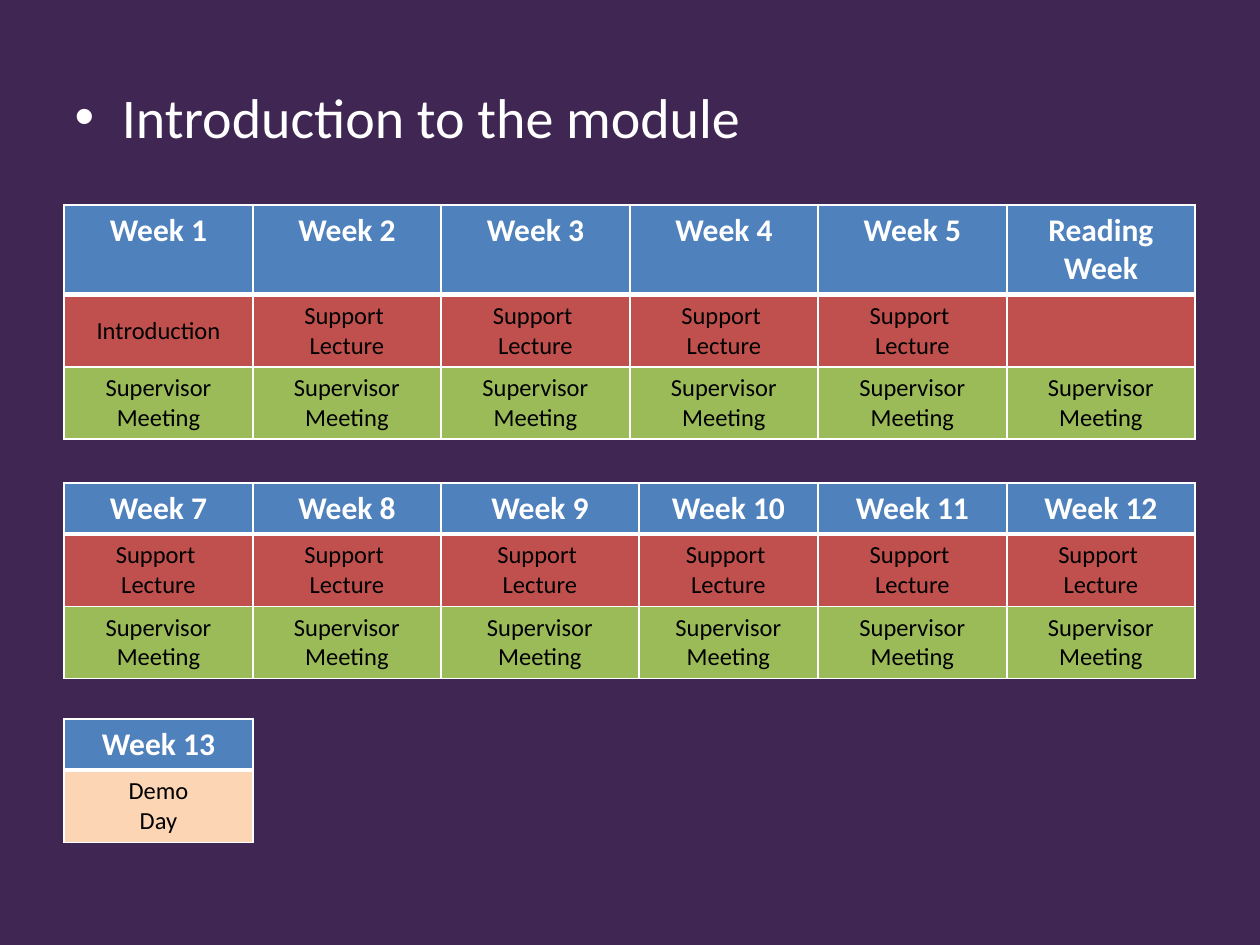
"""Build the module timetable slide."""
from lxml import etree
from pptx import Presentation
from pptx.dml.color import RGBColor
from pptx.enum.text import MSO_ANCHOR, PP_ALIGN
from pptx.oxml.ns import qn
from pptx.util import Emu, Pt

TOP, MIDDLE, CENTER = MSO_ANCHOR.TOP, MSO_ANCHOR.MIDDLE, PP_ALIGN.CENTER
PURPLE = RGBColor(0x40, 0x26, 0x52)
WHITE = RGBColor(0xFF, 0xFF, 0xFF)
BLACK = RGBColor(0, 0, 0)
BLUE = RGBColor(0x4F, 0x81, 0xBD)
RED = RGBColor(0xC0, 0x50, 0x4D)
GREEN = RGBColor(0x9B, 0xBB, 0x59)
PEACH = RGBColor(0xFC, 0xD5, 0xB5)
SUPPORT = "Support \nLecture"
MEETING = "Supervisor\nMeeting"


def px(n):
    return Emu(round(n * 914400 / 126))


class Deck:
    """Holds the style and the current slide."""

    font = "Calibri"
    left = 64
    tall = 72

    def __init__(self):
        self.prs = Presentation()
        self.prs.slide_width, self.prs.slide_height = px(1260), px(945)
        self.slide = self.prs.slides.add_slide(self.prs.slide_layouts[1])
        fill = self.slide.background.fill
        fill.solid()
        fill.fore_color.rgb = PURPLE

    def style(self, frame, size, color, bold=False):
        for par in frame.paragraphs:
            for item in [par.font] + [run.font for run in par.runs]:
                item.name, item.size, item.bold = self.font, Pt(size), bold
                item.color.rgb = color

    def body(self, text, x, y, w, h):
        title = self.slide.shapes.title.element
        title.getparent().remove(title)
        box = self.slide.placeholders[1]
        box.left, box.top, box.width, box.height = map(px, (x, y, w, h))
        box.text_frame.text = text
        self.style(box.text_frame, 32, WHITE)

    def border(self, cell, side, width):
        props = cell._tc.get_or_add_tcPr()
        line = etree.SubElement(props, qn(f"a:ln{side}"), w=str(Pt(width)))
        fill = etree.SubElement(line, qn("a:solidFill"))
        etree.SubElement(fill, qn("a:srgbClr"), val=str(WHITE))

    def cell(self, cell, text, color, row):
        head = row == 0
        cell.text_frame.text = text
        cell.vertical_anchor = TOP if head else MIDDLE
        for par in cell.text_frame.paragraphs:
            par.alignment = CENTER
        self.style(cell.text_frame, 18 if head else 14, WHITE if head else BLACK, head)
        for side, width in zip("LRTB", (1, 1, 3 if row == 1 else 1, 3 if head else 1)):
            self.border(cell, side, width)
        cell.fill.solid()
        cell.fill.fore_color.rgb = color

    def table(self, y, head, cols, rows):
        highs = [head] + [self.tall] * (len(rows) - 1)
        size = (self.left, y, sum(cols), sum(highs))
        grid = self.slide.shapes.add_table(len(rows), len(cols), *map(px, size)).table
        for col, width in zip(grid.columns, cols):
            col.width = px(width)
        for r, (color, texts) in enumerate(rows):
            grid.rows[r].height = px(highs[r])
            for c, text in enumerate(texts):
                self.cell(grid.cell(r, c), text, color, r)


def main():
    deck = Deck()
    deck.body("Introduction to the module", 62, 76, 1134, 843)
    deck.table(205, 89, [189, 188] * 3, [
        (BLUE, [f"Week {n}" for n in range(1, 6)] + ["Reading Week"]),
        (RED, ["Introduction"] + [SUPPORT] * 4 + [""]),
        (GREEN, [MEETING] * 6),
    ])
    deck.table(483, 51, [189, 188, 198, 179, 189, 188], [
        (BLUE, [f"Week {n}" for n in range(7, 13)]),
        (RED, [SUPPORT] * 6),
        (GREEN, [MEETING] * 6),
    ])
    deck.table(719, 51, [189], [
        (BLUE, ["Week 13"]),
        (PEACH, ["Demo\nDay"]),
    ])
    deck.prs.save("out.pptx")


if __name__ == "__main__":
    main()
